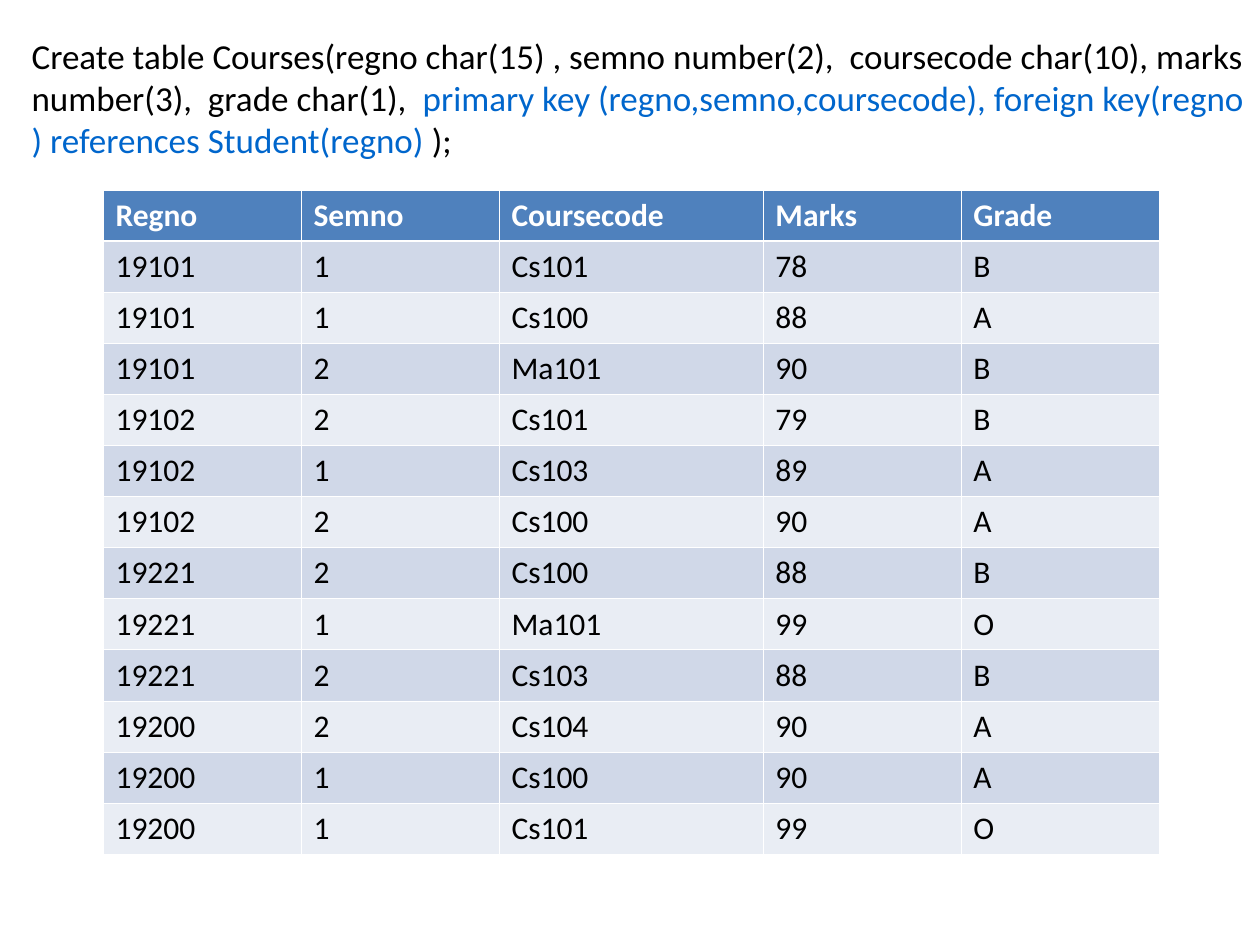
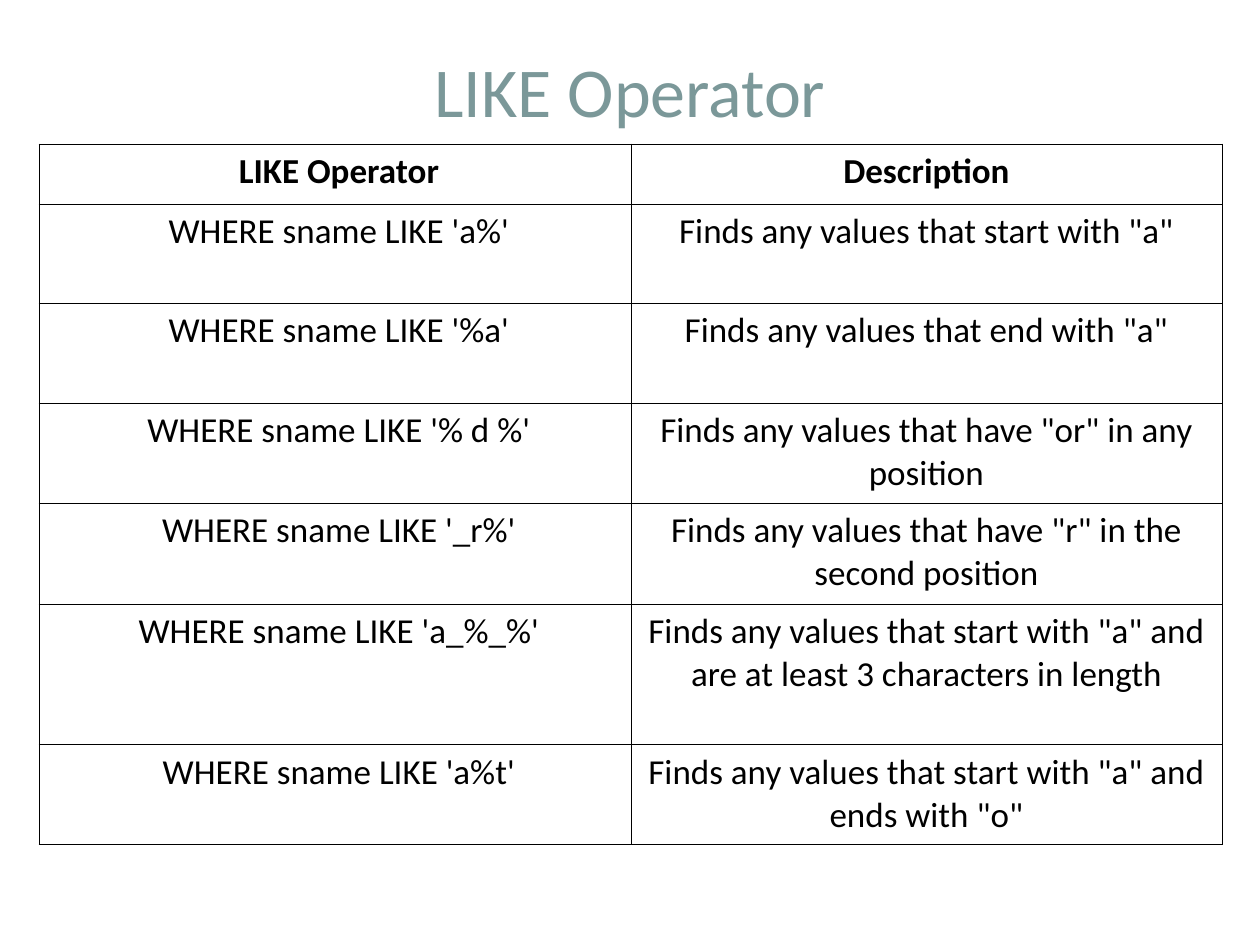
from dataclasses import dataclass

from lxml import etree
from pptx import Presentation
from pptx import util as u
from pptx.dml.color import RGBColor
from pptx.enum import text
from pptx.oxml import ns

PX = 914400 / 126
TITLE_ONLY = 5


@dataclass(frozen=True)
class Theme:
    """Hold the colours, type sizes and line widths of the deck."""
    font: str = "Calibri"
    ink: str = "000000"
    white: str = "FFFFFF"
    key_blue: str = "0066CC"
    title_teal: str = "7B9899"
    header_blue: str = "4F81BD"
    bands: tuple = ("D0D8E8", "E9EDF4")
    title_size: int = 40
    text_size: int = 20
    cell_size: int = 18
    thin: float = 0.45
    thick: float = 1.47


THEME = Theme()

CREATE_COURSES = [
    ("Create table Courses(regno char(15) , semno number(2),  coursecode char(10), "
     "marks number(3),  grade char(1),  ", THEME.ink),
    ("primary key (regno,semno,coursecode), foreign key(regno ) "
     "references Student(regno) ", THEME.key_blue),
    (");", THEME.ink),
]

COURSES = [
    ("Regno", "Semno", "Coursecode", "Marks", "Grade"),
    ("19101", "1", "Cs101", "78", "B"),
    ("19101", "1", "Cs100", "88", "A"),
    ("19101", "2", "Ma101", "90", "B"),
    ("19102", "2", "Cs101", "79", "B"),
    ("19102", "1", "Cs103", "89", "A"),
    ("19102", "2", "Cs100", "90", "A"),
    ("19221", "2", "Cs100", "88", "B"),
    ("19221", "1", "Ma101", "99", "O"),
    ("19221", "2", "Cs103", "88", "B"),
    ("19200", "2", "Cs104", "90", "A"),
    ("19200", "1", "Cs100", "90", "A"),
    ("19200", "1", "Cs101", "99", "O"),
]

LIKE_PATTERNS = [
    ("LIKE Operator", "Description"),
    ("WHERE sname LIKE 'a%'", 'Finds any values that start with "a"'),
    ("WHERE sname LIKE '%a'", 'Finds any values that end with "a"'),
    ("WHERE sname LIKE '% d %'", 'Finds any values that have "or" in any position'),
    ("WHERE sname LIKE '_r%'", 'Finds any values that have "r" in the second position'),
    ("WHERE sname LIKE 'a_%_%'",
     'Finds any values that start with "a" and are at least 3 characters in length'),
    ("WHERE sname LIKE 'a%t'", 'Finds any values that start with "a" and ends with "o"'),
]


def px(length):
    """Turn pixels into EMU."""
    return u.Emu(round(length * PX))


def write(para, words, size=THEME.text_size, color=THEME.ink, bold=False,
          align=text.PP_ALIGN.LEFT):
    """Add one formatted span to a paragraph."""
    para.alignment = align
    span = para.add_run()
    span.text = words
    span.font.name = THEME.font
    span.font.size = u.Pt(size)
    span.font.bold = bold
    span.font.color.rgb = RGBColor.from_string(color)


def add_titled_page(deck, spans, left, top, width, height, **style):
    """Add a page and fill its title with (words, colour) spans."""
    page = deck.slides.add_slide(deck.slide_layouts[TITLE_ONLY])
    box = page.shapes.title
    box.left, box.top, box.width, box.height = map(px, (left, top, width, height))
    frame = box.text_frame
    frame.word_wrap = True
    frame.auto_size = text.MSO_AUTO_SIZE.NONE
    frame.vertical_anchor = text.MSO_ANCHOR.MIDDLE
    for words, color in spans:
        write(frame.paragraphs[0], words, color=color, **style)
    return page


def set_borders(cell, color, **widths):
    """Draw the L, R, T and B borders of a cell, widths in points."""
    properties = cell._tc.get_or_add_tcPr()
    for side in "LRTB":
        width = widths.get(side, THEME.thin)
        line = etree.SubElement(properties, ns.qn(f"a:ln{side}"), w=str(u.Pt(width)))
        fill = etree.SubElement(line, ns.qn("a:solidFill"))
        etree.SubElement(fill, ns.qn("a:srgbClr"), val=color)


def add_grid(page, rows, left, top, widths, heights, style_cell):
    """Add a table and let style_cell write and format each cell."""
    frame = page.shapes.add_table(len(rows), len(widths), px(left), px(top),
                                  px(sum(widths)), px(sum(heights)))
    table = frame.table
    table.horz_banding = False
    for column, width in zip(table.columns, widths):
        column.width = px(width)
    for row, height in zip(table.rows, heights):
        row.height = px(height)
    for row, values in enumerate(rows):
        for column, words in enumerate(values):
            style_cell(table.cell(row, column), words, row, column)


def style_course_cell(cell, words, row, column):
    """Format a banded cell with white rules and a blue header."""
    header = row == 0
    set_borders(cell, THEME.white,
                T=THEME.thick if row == 1 else THEME.thin,
                B=THEME.thick if header else THEME.thin)
    cell.fill.solid()
    band = THEME.header_blue if header else THEME.bands[(row - 1) % 2]
    cell.fill.fore_color.rgb = RGBColor.from_string(band)
    write(cell.text_frame.paragraphs[0], words, size=THEME.cell_size, bold=header,
          color=THEME.white if header else THEME.ink)


def style_pattern_cell(cell, words, row, column):
    """Format a centred, unfilled cell with black rules."""
    set_borders(cell, THEME.ink)
    cell.fill.background()
    cell.margin_left = px(16 if column == 0 else 8)
    cell.margin_right = px(8)
    write(cell.text_frame.paragraphs[0], words, bold=row == 0,
          align=text.PP_ALIGN.CENTER)


def main():
    """Build both pages and save the deck."""
    deck = Presentation()
    deck.slide_width, deck.slide_height = px(1260), px(945)

    courses = add_titled_page(deck, CREATE_COURSES, 19, 24, 1241, 147)
    add_grid(courses, COURSES, 103, 190, [198, 198, 264, 198, 198],
             [51] * len(COURSES), style_course_cell)

    patterns = add_titled_page(deck, [("LIKE Operator", THEME.title_teal)],
                               63, 38, 1134, 103, size=THEME.title_size,
                               align=text.PP_ALIGN.CENTER)
    add_grid(patterns, LIKE_PATTERNS, 39, 144, [592, 591],
             [60, 99, 100, 100, 101, 141, 100], style_pattern_cell)

    deck.save("out.pptx")


if __name__ == "__main__":
    main()
